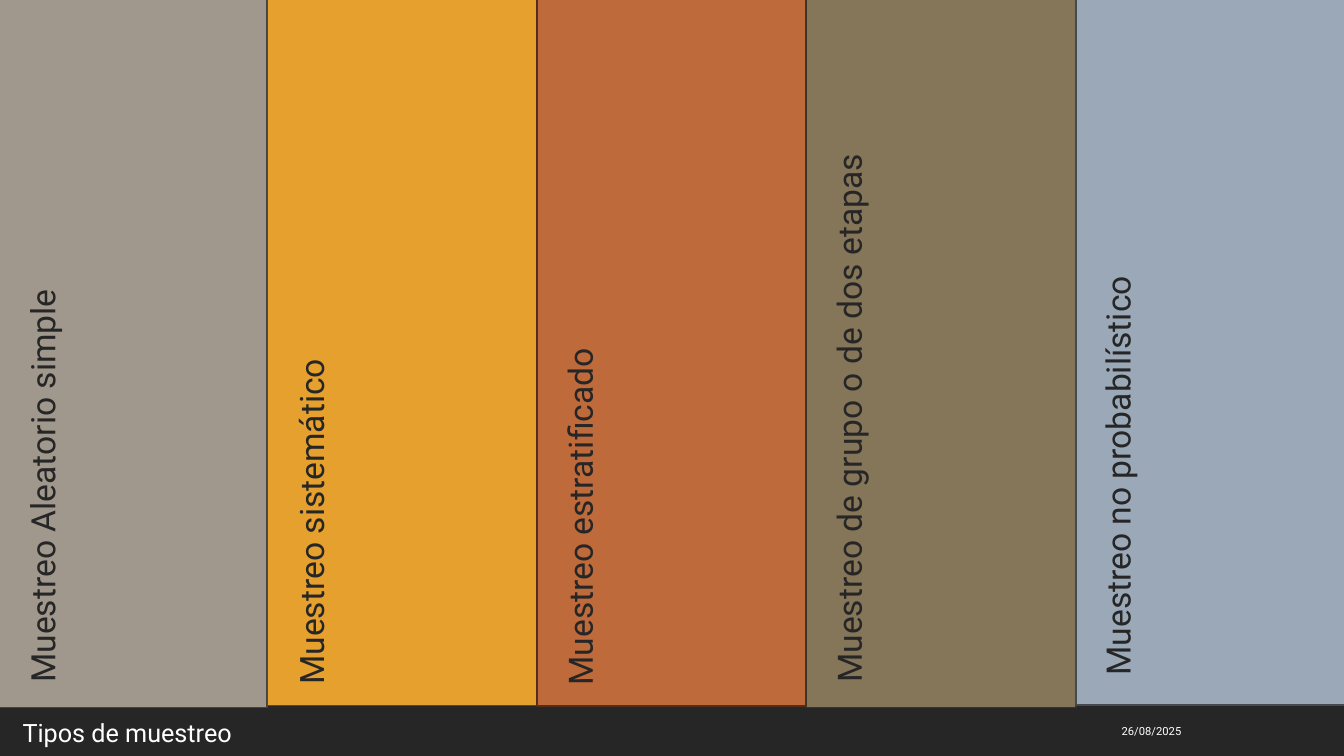
from pptx import Presentation
from pptx.dml.color import RGBColor
from pptx.enum.shapes import MSO_SHAPE
from pptx.enum.text import MSO_ANCHOR, PP_ALIGN
from pptx.util import Pt

RECT = MSO_SHAPE.RECTANGLE
TOP, MIDDLE = MSO_ANCHOR.TOP, MSO_ANCHOR.MIDDLE
LEFT, RIGHT = PP_ALIGN.LEFT, PP_ALIGN.RIGHT
DARK = RGBColor(0x26, 0x26, 0x26)
WHITE = RGBColor(0xFF, 0xFF, 0xFF)

TITLE = "Tipos de muestreo"
DATE = "26/08/2025"
# label, fill, border, band top, band bottom, label centre
BANDS = [
    ("Muestreo Aleatorio simple", RGBColor(0xA0, 0x98, 0x8C),
     RGBColor(0x46, 0x43, 0x3D), -3, 505.4, 247.7),
    ("Muestreo sistemático", RGBColor(0xE6, 0xA0, 0x2E),
     RGBColor(0x65, 0x46, 0x14), -4, 504, 249.1),
    ("Muestreo estratificado", RGBColor(0xBF, 0x6A, 0x3B),
     RGBColor(0x54, 0x2E, 0x1A), -3, 504.5, 249.8),
    ("Muestreo de grupo o de dos etapas", RGBColor(0x85, 0x76, 0x59),
     RGBColor(0x3A, 0x34, 0x27), -3, 505.4, 247.7),
    ("Muestreo no probabilístico", RGBColor(0x9B, 0xA8, 0xB7),
     RGBColor(0x44, 0x4A, 0x50), -4, 503.5, 242.6),
]
WIDE, HIGH = 960, 540
START, PITCH = -1.5, 192.5
LABEL_X, LABEL_STEP = 30, 192
LABEL_W, LABEL_H = 494, 36


def add_box(slide, x, y, w, h, fill, edge=None):
    box = slide.shapes.add_shape(RECT, Pt(x), Pt(y), Pt(w), Pt(h))
    box.shadow.inherit = False
    box.fill.solid()
    box.fill.fore_color.rgb = fill
    if edge is None:
        box.line.fill.background()
    else:
        box.line.color.rgb = edge
        box.line.width = Pt(1.25)


def add_text(slide, text, x, y, w, h, size, color,
             anchor=TOP, align=LEFT, inset=3.6):
    box = slide.shapes.add_textbox(Pt(x), Pt(y), Pt(w), Pt(h))
    frame = box.text_frame
    form = {"word_wrap": True, "vertical_anchor": anchor,
            "margin_top": Pt(inset), "margin_bottom": Pt(inset)}
    for name, value in form.items():
        setattr(frame, name, value)
    para = frame.paragraphs[0]
    para.text = text
    para.alignment = align
    para.font.name = "Roboto"
    para.font.size = Pt(size)
    para.font.color.rgb = color
    return box


def main():
    deck = Presentation()
    deck.slide_width, deck.slide_height = Pt(WIDE), Pt(HIGH)
    slide = deck.slides.add_slide(deck.slide_layouts[6])

    add_box(slide, 0, 361, WIDE, HIGH - 361, DARK)
    title = add_text(slide, TITLE, 9, 510.5, 600, 29, 18, WHITE, inset=0)
    title.text_frame.paragraphs[0].line_spacing = 1.1
    add_text(slide, DATE, 647, 507.6, 204, 29, 8, WHITE, MIDDLE, RIGHT)

    for i, (text, fill, edge, top, base, mid) in enumerate(BANDS):
        add_box(slide, START + i * PITCH, top, PITCH, base - top, fill, edge)
        x = LABEL_X + i * LABEL_STEP - LABEL_W / 2
        label = add_text(slide, text, x, mid - LABEL_H / 2,
                         LABEL_W, LABEL_H, 24, DARK)
        label.rotation = 270

    deck.save("out.pptx")


if __name__ == "__main__":
    main()
